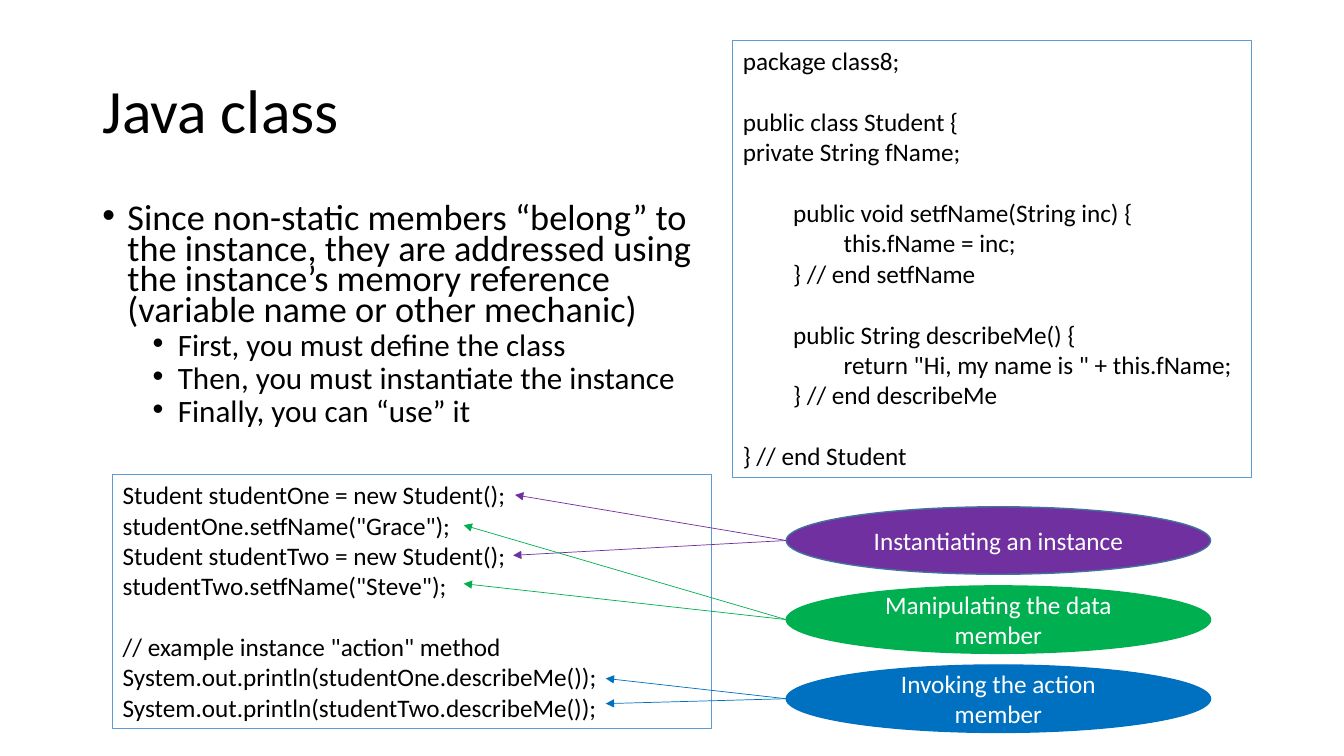
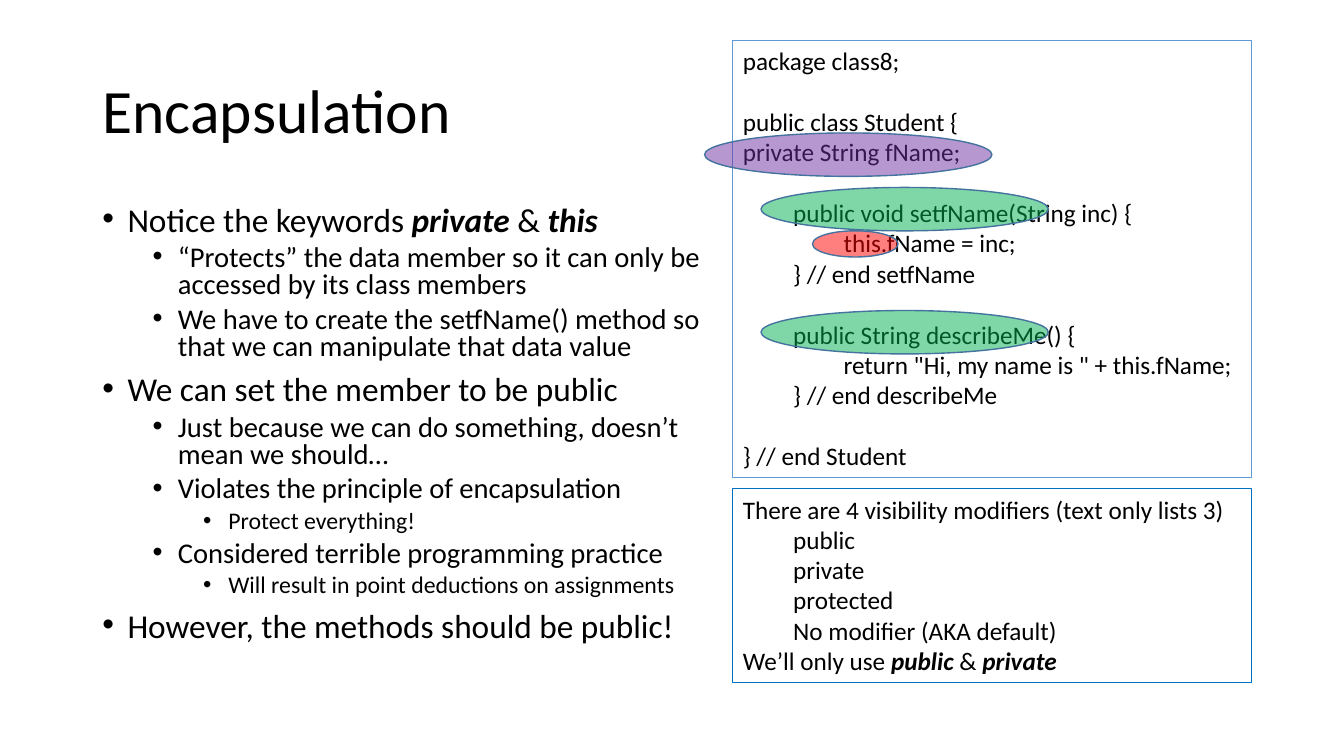
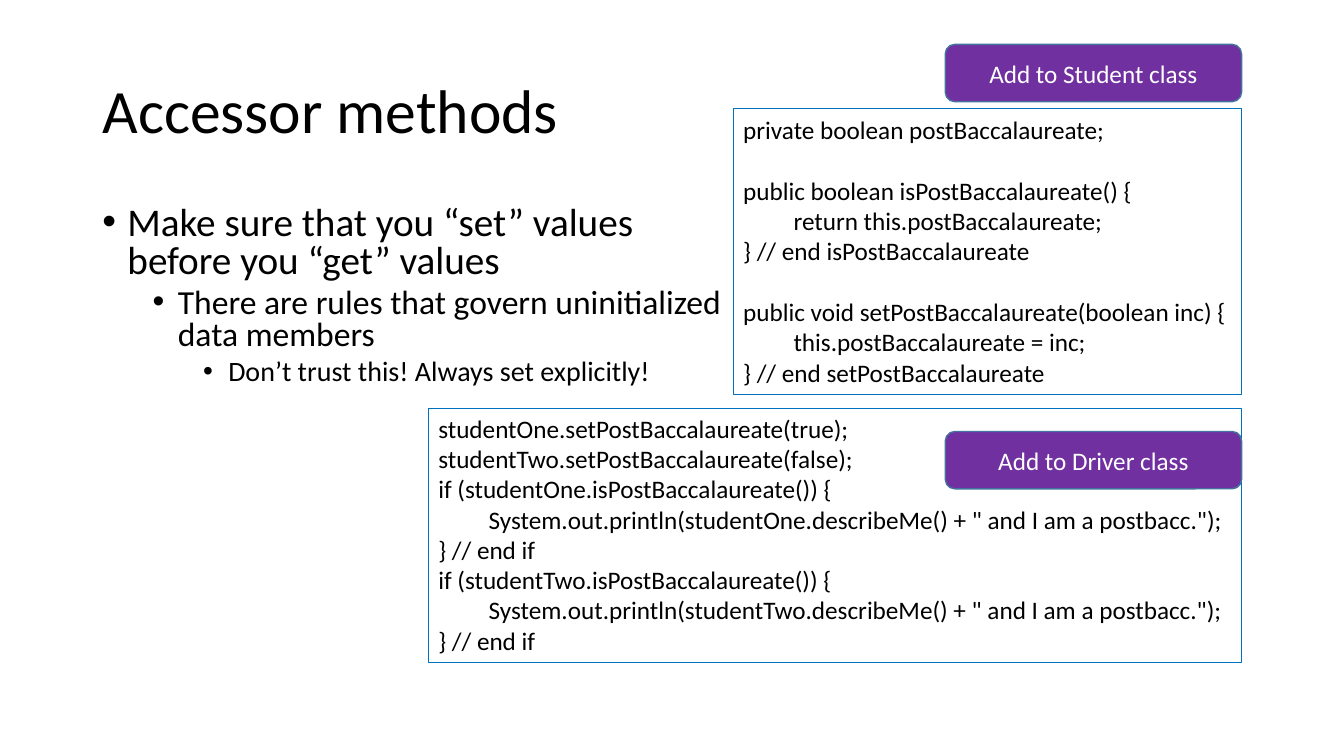
from typing import NamedTuple

from lxml import etree
from pptx import Presentation
from pptx.dml.color import RGBColor
from pptx.enum.shapes import MSO_CONNECTOR, MSO_SHAPE
from pptx.enum.text import MSO_ANCHOR, MSO_AUTO_SIZE, PP_ALIGN
from pptx.oxml.ns import qn
from pptx.util import Pt

ELLIPSE, ROUNDED = MSO_SHAPE.OVAL, MSO_SHAPE.ROUNDED_RECTANGLE
STRAIGHT = MSO_CONNECTOR.STRAIGHT
TOP, MIDDLE = MSO_ANCHOR.TOP, MSO_ANCHOR.MIDDLE
LEFT, CENTER = PP_ALIGN.LEFT, PP_ALIGN.CENTER
FIXED_SIZE = MSO_AUTO_SIZE.NONE

# Shared look
FONT = "Calibri"
BLACK, WHITE = "000000", "FFFFFF"
PURPLE, GREEN, BLUE, RED = "7030A0", "00B050", "0070C0", "FF0000"
PALE_BLUE, OUTLINE = "5B9BD5", "43739E"
CODE_SIZE = 18
BLANK_LINE = 22
LEVEL_STEP = 36
BULLET_HANG = 18


class Box(NamedTuple):
    left: float
    top: float
    width: float
    height: float


class Line(NamedTuple):
    """One paragraph; parts between asterisks are bold italic."""
    text: str
    level: int = 0
    gap: float = 0


class Callout(NamedTuple):
    text: str
    color: str
    outline: str
    targets: tuple


class Mark(NamedTuple):
    box: Box
    color: str


TITLE_BOX = Box(66, 28.8, 828, 104.4)
CLASS_BOX = Box(523.5, 28.8, 370.8, 312.5)

STUDENT_CLASS = [
    Line("package class8;"),
    Line("public class Student {", gap=BLANK_LINE),
    Line("private String fName;"),
    Line("public void setfName(String inc) {", 1, BLANK_LINE),
    Line("this.fName = inc;", 2),
    Line("} // end setfName", 1),
    Line("public String describeMe() {", 1, BLANK_LINE),
    Line('return "Hi, my name is " + this.fName;', 2),
    Line("} // end describeMe", 1),
    Line("} // end Student", gap=BLANK_LINE),
]


def rgb(color: str) -> RGBColor:
    return RGBColor.from_string(color)


def points(box: Box) -> list:
    return [Pt(value) for value in box]


def write(frame, lines, *, sizes=(CODE_SIZE,) * 3, color=BLACK, align=LEFT,
          anchor=TOP, spacing=1.0, bullets=False) -> None:
    """Fill a text frame; sizes are given per level."""
    frame.word_wrap = True
    frame.auto_size = FIXED_SIZE
    frame.vertical_anchor = anchor
    for number, line in enumerate(lines):
        para = frame.add_paragraph() if number else frame.paragraphs[0]
        para.level = line.level
        para.alignment = align
        para.line_spacing = spacing
        para.space_before = Pt(line.gap)
        margin = LEVEL_STEP * line.level
        properties = para._p.get_or_add_pPr()
        if bullets:
            margin += BULLET_HANG
            para.space_before = Pt(5 if line.level else 10)
            etree.SubElement(properties, qn("a:buFont"), typeface="Arial")
            etree.SubElement(properties, qn("a:buChar"), char="•")
        properties.set("marL", str(Pt(margin)))
        properties.set("indent", str(Pt(-BULLET_HANG if bullets else 0)))
        for part, text in enumerate(line.text.split("*")):
            if not text:
                continue
            span = para.add_run()
            span.text = text
            font = span.font
            font.name, font.size = FONT, Pt(sizes[line.level])
            font.color.rgb = rgb(color)
            font.bold = font.italic = part % 2 == 1


def add_page(deck, title: str):
    page = deck.slides.add_slide(deck.slide_layouts[5])
    holder = page.shapes.title
    holder.left, holder.top, holder.width, holder.height = points(TITLE_BOX)
    write(holder.text_frame, [Line(title)], sizes=(44,), anchor=MIDDLE, spacing=0.9)
    return page


def add_bullets(page, box: Box, lines, sizes, spacing: float) -> None:
    frame = page.shapes.add_textbox(*points(box)).text_frame
    write(frame, lines, sizes=sizes, spacing=spacing, bullets=True)


def add_code(page, box: Box, lines, outline: str) -> None:
    panel = page.shapes.add_textbox(*points(box))
    panel.line.color.rgb = rgb(outline)
    panel.line.width = Pt(0.75)
    write(panel.text_frame, lines)


def add_filled(page, kind, box: Box, color: str, outline=OUTLINE, text="", opacity=100):
    shape = page.shapes.add_shape(kind, *points(box))
    shape.shadow.inherit = False
    shape.fill.solid()
    shape.fill.fore_color.rgb = rgb(color)
    shape.line.color.rgb = rgb(outline)
    shape.line.width = Pt(1)
    if opacity < 100:
        fill = shape.element.spPr.find(qn("a:solidFill")).find(qn("a:srgbClr"))
        etree.SubElement(fill, qn("a:alpha"), val=str(opacity * 1000))
    if text:
        write(shape.text_frame, [Line(text)], color=WHITE, align=CENTER, anchor=MIDDLE)


def add_arrow(page, start, end, color: str) -> None:
    arrow = page.shapes.add_connector(STRAIGHT, *points((*start, *end)))
    arrow.line.color.rgb = rgb(color)
    arrow.line.width = Pt(0.5)
    properties = arrow.element.spPr
    etree.SubElement(properties.find(qn("a:ln")), qn("a:tailEnd"), type="triangle")
    etree.SubElement(properties, qn("a:effectLst"))


def build_java_class(deck) -> None:
    page = add_page(deck, "Java class")
    add_bullets(page, Box(66, 144, 446.4, 171.4), [
        Line("Since non-static members “belong” to the instance, they are addressed "
             "using the instance’s memory reference (variable name or other mechanic)"),
        Line("First, you must define the class", 1),
        Line("Then, you must instantiate the instance", 1),
        Line("Finally, you can “use” it", 1),
    ], (25.9, 22.2), 0.7)
    add_code(page, CLASS_BOX, STUDENT_CLASS, PALE_BLUE)
    add_code(page, Box(80.6, 339.1, 427.7, 181.4), [
        Line("Student studentOne = new Student();"),
        Line('studentOne.setfName("Grace");'),
        Line("Student studentTwo = new Student();"),
        Line('studentTwo.setfName("Steve");'),
        Line('// example instance "action" method', gap=BLANK_LINE),
        Line("System.out.println(studentOne.describeMe());"),
        Line("System.out.println(studentTwo.describeMe());"),
    ], PALE_BLUE)

    # Callouts, each pointing at two code lines
    callouts = [
        Callout("Instantiating an instance", PURPLE, OUTLINE,
                ((367.9, 353.5), (366.5, 396.7))),
        Callout("Manipulating the data member", GREEN, GREEN,
                ((331.2, 375.1), (331.2, 416.9))),
        Callout("Invoking the action member", BLUE, BLUE,
                ((432.7, 484.6), (432.7, 502.6))),
    ]
    for row, callout in enumerate(callouts):
        box = Box(561.6, 362 + 56.5 * row, 303.1, 48.2)
        add_filled(page, ELLIPSE, box, callout.color, callout.outline, callout.text)
        for target in callout.targets:
            add_arrow(page, (box.left, box.top + box.height / 2), target, callout.color)


def build_encapsulation(deck) -> None:
    page = add_page(deck, "Encapsulation")
    add_bullets(page, Box(66, 144, 457.2, 342.7), [
        Line("Notice the keywords *private* & *this*"),
        Line("“Protects” the data member so it can only be accessed by its class members", 1),
        Line("We have to create the setfName() method so that we can manipulate "
             "that data value", 1),
        Line("We can set the member to be public"),
        Line("Just because we can do something, doesn’t mean we should…", 1),
        Line("Violates the principle of encapsulation", 1),
        Line("Protect everything!", 2),
        Line("Considered terrible programming practice", 1),
        Line("Will result in point deductions on assignments", 2),
        Line("However, the methods should be public!"),
    ], (23.8, 20.4, 17), 0.8)
    add_code(page, CLASS_BOX, STUDENT_CLASS, PALE_BLUE)
    add_code(page, Box(CLASS_BOX.left, 349.2, CLASS_BOX.width, 138.2), [
        Line("There are 4 visibility modifiers (text only lists 3)"),
        Line("public", 1),
        Line("private", 1),
        Line("protected", 1),
        Line("No modifier (AKA default)", 1),
        Line("We’ll only use *public *& *private*"),
    ], BLUE)

    # Translucent marks over the code
    marks = [
        Mark(Box(503.3, 95, 205.2, 31), PURPLE),
        Mark(Box(543.6, 133.9, 205.2, 31), GREEN),
        Mark(Box(543.6, 221.8, 205.2, 31), GREEN),
        Mark(Box(580.3, 164.9, 61.2, 18.7), RED),
    ]
    for mark in marks:
        add_filled(page, ELLIPSE, mark.box, mark.color, opacity=50)


def build_accessors(deck) -> None:
    page = add_page(deck, "Accessor methods")
    add_bullets(page, Box(66, 144, 457.9, 143.3), [
        Line("Make sure that you “set” values before you “get” values"),
        Line("There are rules that govern uninitialized data members", 1),
        Line("Don’t trust this! Always set explicitly!", 2),
    ], (28, 24, 20), 0.8)
    add_code(page, Box(523.8, 77.8, 363, 203.8), [
        Line("private boolean postBaccalaureate;"),
        Line("public boolean isPostBaccalaureate() {", gap=BLANK_LINE),
        Line("return this.postBaccalaureate;", 1),
        Line("} // end isPostBaccalaureate"),
        Line("public void setPostBaccalaureate(boolean inc) {", gap=BLANK_LINE),
        Line("this.postBaccalaureate = inc;", 1),
        Line("} // end setPostBaccalaureate"),
    ], BLUE)

    # Driver code: two setters, then the same test for each student
    students = ("studentOne", "studentTwo")
    driver = [Line(f"{student}.setPostBaccalaureate({value});")
              for student, value in zip(students, ("true", "false"))]
    for student in students:
        driver += [
            Line(f"if ({student}.isPostBaccalaureate()) {{"),
            Line(f'System.out.println({student}.describeMe() + " and I am a postbacc.");', 1),
            Line("} // end if"),
        ]
    add_code(page, Box(306, 291.6, 581, 181.4), driver, BLUE)
    for target, top in (("Student", 31.7), ("Driver", 308.2)):
        add_filled(page, ROUNDED, Box(675.2, top, 211.7, 41), PURPLE,
                   text=f"Add to {target} class")


def main() -> None:
    deck = Presentation()
    deck.slide_width, deck.slide_height = Pt(960), Pt(540)
    build_java_class(deck)
    build_encapsulation(deck)
    build_accessors(deck)
    deck.save("out.pptx")


if __name__ == "__main__":
    main()
